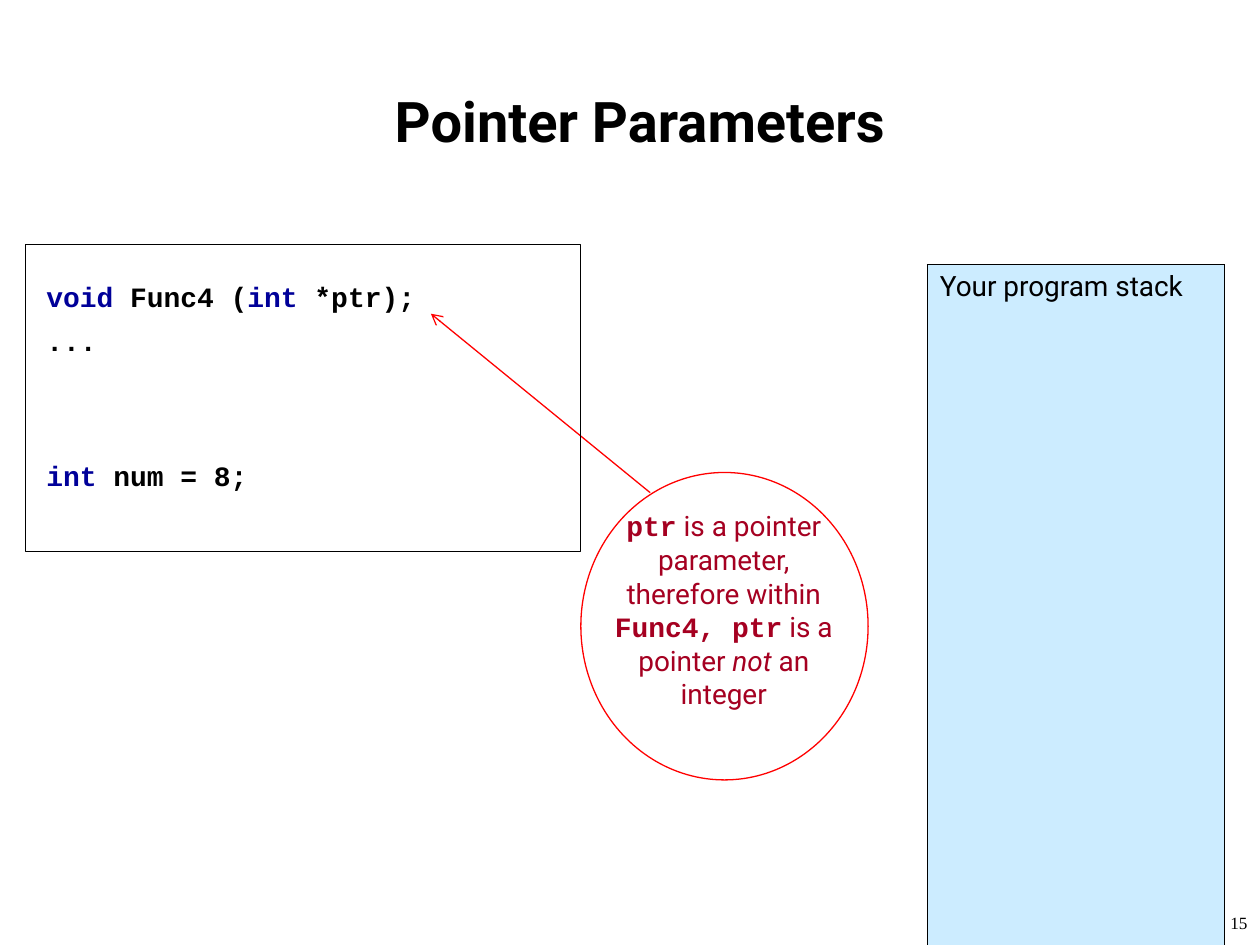
import pptx
import pptx.dml.color
import pptx.enum.shapes
import pptx.enum.text
import pptx.oxml
import pptx.oxml.ns
import pptx.util
from lxml import etree

Inches, Pt = pptx.util.Inches, pptx.util.Pt
ALIGN = pptx.enum.text.PP_ALIGN
SHAPE = pptx.enum.shapes.MSO_SHAPE
COLORS = {"ink": "000000", "keyword": "000099", "note": "A50021",
          "callout": "FF0000", "stack": "CCECFF"}
SANS, MONO, SERIF = "Roboto", "Courier New", "Times New Roman"


def rgb(name):
    return pptx.dml.color.RGBColor.from_string(COLORS[name])


def add_child(parent, tag, **attributes):
    return etree.SubElement(parent, pptx.oxml.ns.qn(tag), attributes)


def style_font(font, size, name=None, color="ink", bold=None):
    font.size, font.name, font.bold = Pt(size), name, bold
    font.color.rgb = rgb(color)


def add_box(page, left, top, width, height):
    box = page.shapes.add_textbox(Inches(left), Inches(top), Inches(width), Inches(height))
    box.text_frame.word_wrap = True
    return box.text_frame


def add_outline(page, kind, color, left, top, width, height):
    shape = page.shapes.add_shape(kind, Inches(left), Inches(top), Inches(width), Inches(height))
    shape.shadow.inherit = False
    shape.fill.background()
    shape.line.color.rgb = rgb(color)
    shape.line.width = Pt(0.75)


def add_line_of_text(page, text, area, size, name, align, bold=None):
    frame = add_box(page, *area)
    para = frame.paragraphs[0]
    para.text, para.alignment = text, align
    style_font(para.font, size, name, bold=bold)
    return frame


def add_code(page, left, top, width, height):
    """Framed code listing; each line is a gap before it and its coloured spans."""
    lines = [
        (4, [("void", "keyword"), (" Func4 (", "ink"), ("int", "keyword"), (" *ptr);", "ink")]),
        (4, [("...", "ink")]),
        (56, [("int", "keyword"), (" num = 8;", "ink")]),
    ]
    frame = add_box(page, left + 0.07, top + 0.23, width - 0.14, height - 0.3)
    for index, (gap, spans) in enumerate(lines):
        para = frame.add_paragraph() if index else frame.paragraphs[0]
        para.space_before, para.space_after = Pt(gap), Pt(2)
        style_font(para.font, 16, MONO, bold=True)
        for text, color in spans:
            span = para.add_run()
            span.text = text
            span.font.color.rgb = rgb(color)
    add_outline(page, SHAPE.RECTANGLE, "ink", left, top, width, height)


def set_borders(cell, sides):
    """Draw the named sides (of L, R, T, B) and hide the others."""
    properties = cell._tc.get_or_add_tcPr()
    for position, side in enumerate("LRTB"):
        line = pptx.oxml.parse_xml(
            f'<a:ln{side} {pptx.oxml.ns.nsdecls("a")} w="{Pt(0.45)}"/>')
        if side in sides:
            fill = add_child(line, "a:solidFill")
            add_child(fill, "a:srgbClr", val=COLORS["ink"])
        else:
            add_child(line, "a:noFill")
        properties.insert(position, line)


def add_stack(page, left, top, height):
    """Label columns on the left, shaded stack column on the right."""
    widths, rows = [0.86, 0.95, 2.36], 12
    table = page.shapes.add_table(rows, len(widths), Inches(left), Inches(top),
                                  Inches(sum(widths)), Inches(height)).table
    table.first_row = table.horz_banding = False
    for column, width in zip(table.columns, widths):
        column.width = Inches(width)
    for index, row in enumerate(table.rows):
        row.height = Inches(height / rows)
        for column, cell in enumerate(row.cells):
            cell.fill.background()
            style_font(cell.text_frame.paragraphs[0].font, 16, SANS)
            set_borders(cell, ["", "R", "LR" if index else "LRT"][column])
        cell.fill.solid()
        cell.fill.fore_color.rgb = rgb("stack")
    para = table.cell(0, 2).text_frame.paragraphs[0]
    para.text = "Your program stack"
    para.space_before, para.space_after = Pt(4), Pt(2)


def add_callout(page, left, top, width, height):
    """Round note with an arrow to the parameter in the code."""
    spans = [("ptr", MONO, False), (" is a pointer parameter, therefore within ", SANS, False),
             ("Func4, ptr", MONO, False), (" is a pointer ", SANS, False),
             ("not", SANS, True), (" an integer", SANS, False)]
    para = add_box(page, left + 0.15, top + 0.24, width - 0.31, 1.7).paragraphs[0]
    para.alignment, para.space_before = ALIGN.CENTER, Pt(10)
    style_font(para.font, 16, color="note")
    for text, name, italic in spans:
        span = para.add_run()
        span.text = text
        span.font.name, span.font.bold, span.font.italic = name, name == MONO, italic
    add_outline(page, SHAPE.OVAL, "callout", left, top, width, height)

    arrow = page.shapes.add_connector(
        pptx.enum.shapes.MSO_CONNECTOR.STRAIGHT,
        Inches(left + 0.55), Inches(top + 0.16), Inches(left - 1.19), Inches(top - 1.26))
    arrow.line.color.rgb = rgb("callout")
    arrow.line.width = Pt(0.75)
    add_child(arrow.line._get_or_add_ln(), "a:tailEnd", type="arrow")
    add_child(arrow._element.spPr, "a:effectLst")


def main():
    deck = pptx.Presentation()
    deck.slide_width, deck.slide_height = Inches(10), Inches(7.5)
    page = deck.slides.add_slide(deck.slide_layouts[6])

    # Page number and title
    number = add_line_of_text(page, "15", (9.36, 7.22, 0.64, 0.28), 9.8, SERIF, ALIGN.RIGHT)
    number.paragraphs[0].line_spacing = 0.8
    title = add_line_of_text(page, "Pointer Parameters", (0.83, 0.6, 8.5, 0.71),
                             32, SANS, ALIGN.CENTER, bold=True)
    title.vertical_anchor = pptx.enum.text.MSO_ANCHOR.MIDDLE

    # Code, program stack and note
    add_stack(page, 5.55, 2.1, 5.4)
    add_callout(page, 4.61, 3.75, 2.28, 2.44)
    add_code(page, 0.2, 1.94, 4.41, 2.44)

    deck.save("out.pptx")


if __name__ == "__main__":
    main()
